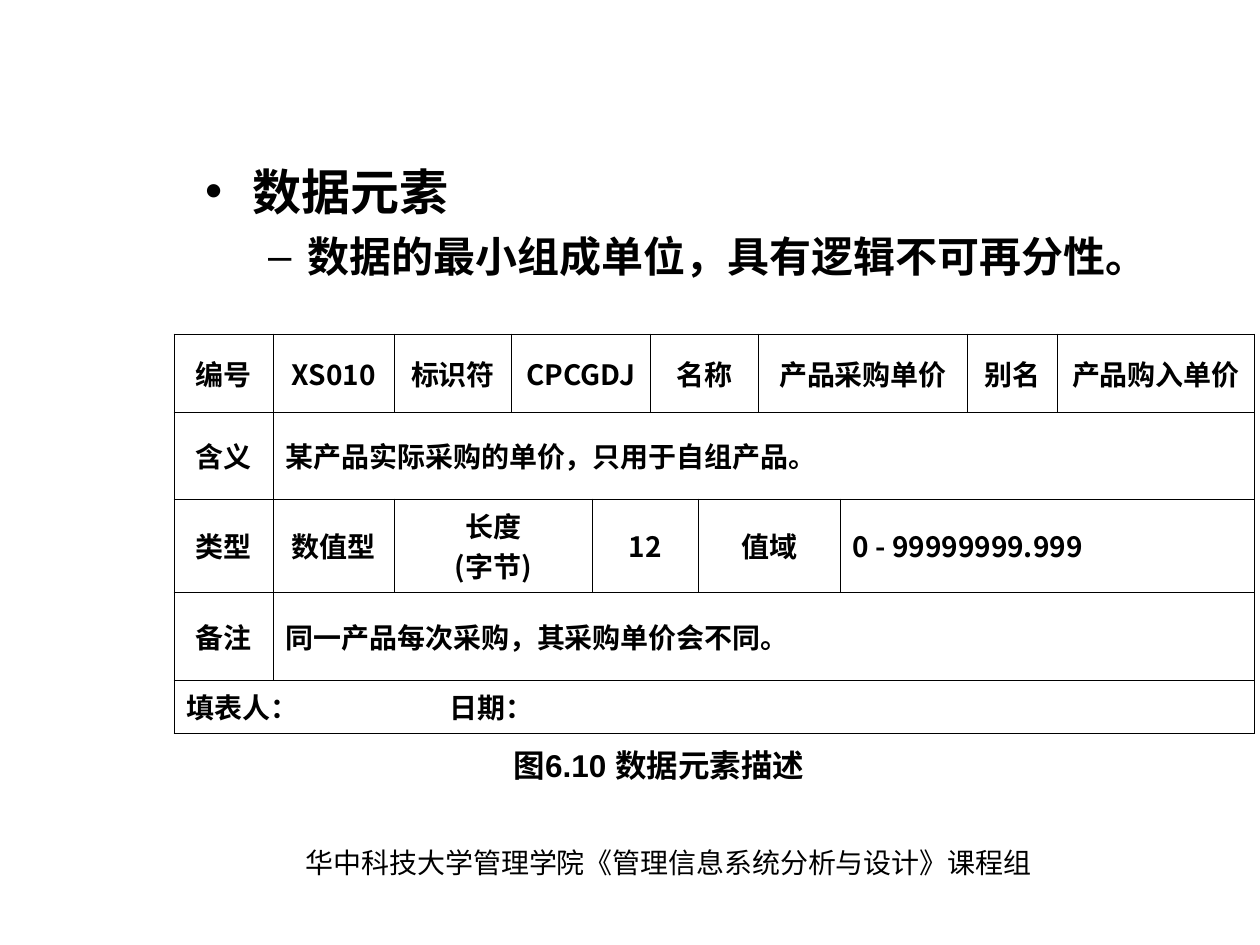
from lxml.etree import SubElement as Sub
from pptx import Presentation
from pptx.dml.color import RGBColor
from pptx.enum.text import MSO_ANCHOR as Anchor, MSO_AUTO_SIZE as Fit, PP_ALIGN as Align
from pptx.oxml.ns import qn
from pptx.util import Inches, Pt

BLACK = RGBColor(0, 0, 0)
SANS, ARIAL, TIMES = "Noto Sans CJK SC", "Arial", "Times New Roman"

POINTS = [
    ("数据元素", "•", 0.38, 0.38, 0, dict(name=SANS, size=Pt(28), bold=True)),
    ("数据的最小组成单位，具有逻辑不可再分性。", "–", 0.81, 0.31, 6,
     dict(name=ARIAL, size=Pt(24), bold=True)),
]
LABELS = [
    ("华中科技大学管理学院《管理信息系统分析与设计》课程组", (2.33, 6.66, 5.96, 0.37),
     Align.LEFT, dict(name=TIMES, size=Pt(16), bold=False)),
    ("图6.10 数据元素描述", (3.83, 5.87, 2.8, 0.4),
     Align.CENTER, dict(name=ARIAL, size=Pt(18), bold=True)),
]
COLS = [0.79, 0.96, 0.93, 0.64, 0.46, 0.38, 0.48, 0.65, 1.01, 0.71, 1.57]
ROWS = [0.62, 0.69, 0.74, 0.7, 0.42]
C, L = Align.CENTER, Align.LEFT
CELLS = [
    [("编号", 1, C), ("XS010", 1, C), ("标识符", 1, C), ("CPCGDJ", 2, C),
     ("名称", 2, C), ("产品采购单价", 2, C), ("别名", 1, C), ("产品购入单价", 1, C)],
    [("含义", 1, C), ("某产品实际采购的单价，只用于|自组|产品。", 10, L)],
    [("类型", 1, C), ("数值型", 1, C), ("长度\n(字节)", 2, C), ("12", 2, C),
     ("值域", 2, C), ("0 - 99999999.999", 3, L)],
    [("备注", 1, C), ("同一产品每次采购，其采购单价会不同。", 10, L)],
    [("填表人：\t日期：", 11, L)],
]
CELL = dict(name=SANS, size=Pt(16), bold=True)


def add_run(para, text, form):
    run = para.add_run()
    run.text = text
    for key, val in form.items():
        setattr(run.font, key, val)
    run.font.color.rgb = BLACK
    Sub(run.font._element, qn("a:ea"), typeface=SANS)


def add_box(slide, area, wrap):
    frame = slide.shapes.add_textbox(*map(Inches, area)).text_frame
    frame.word_wrap = wrap
    return frame


def add_edges(cell):
    props = cell._tc.get_or_add_tcPr()
    for spot, side in enumerate(("lnL", "lnR", "lnT", "lnB")):
        line = Sub(props, qn("a:" + side), w=str(Pt(0.45)))
        fill = Sub(line, qn("a:solidFill"))
        Sub(fill, qn("a:srgbClr"), val=str(BLACK))
        props.insert(spot, line)


def fill_cell(cell, text, align):
    cell.vertical_anchor = Anchor.MIDDLE
    frame = cell.text_frame
    for num, line in enumerate(text.split("\n")):
        para = frame.add_paragraph() if num else frame.paragraphs[0]
        para.alignment = align
        if "\t" in line:
            tabs = Sub(para._p.get_or_add_pPr(), qn("a:tabLst"))
            Sub(tabs, qn("a:tab"), pos=str(Inches(2.09)), algn="l")
        for part, piece in enumerate(line.split("|")):
            add_run(para, piece, CELL | dict(name=TIMES if part == 1 else SANS))


def add_grid(slide):
    shape = slide.shapes.add_table(len(ROWS), len(COLS), Inches(1.38), Inches(2.65),
                                   Inches(sum(COLS)), Inches(sum(ROWS)))
    table = shape.table
    table.first_row = table.horz_banding = False
    for col, width in zip(table.columns, COLS):
        col.width = Inches(width)
    for row, height in zip(table.rows, ROWS):
        row.height = Inches(height)
    for cell in table.iter_cells():
        cell.fill.background()
        add_edges(cell)
    for row, items in enumerate(CELLS):
        col = 0
        for text, span, align in items:
            cell = table.cell(row, col)
            if span > 1:
                cell.merge(table.cell(row, col + span - 1))
            fill_cell(cell, text, align)
            col += span


def add_points(slide):
    frame = add_box(slide, (1.53, 1.23, 8.47, 1.2), True)
    for num, (text, mark, left, hang, gap, form) in enumerate(POINTS):
        para = frame.add_paragraph() if num else frame.paragraphs[0]
        para.level = num
        para.space_before = Pt(gap)
        props = para._p.get_or_add_pPr()
        props.set("marL", str(Inches(left)))
        props.set("indent", str(-Inches(hang)))
        Sub(props, qn("a:buFont"), typeface=ARIAL)
        Sub(props, qn("a:buChar"), char=mark)
        add_run(para, text, form)


def main():
    deck = Presentation()
    deck.slide_width, deck.slide_height = Inches(10), Inches(7.5)
    slide = deck.slides.add_slide(deck.slide_layouts[6])
    add_points(slide)
    add_grid(slide)
    for text, area, align, form in LABELS:
        frame = add_box(slide, area, False)
        frame.auto_size = Fit.SHAPE_TO_FIT_TEXT
        para = frame.paragraphs[0]
        para.alignment = align
        add_run(para, text, form)
    deck.save("out.pptx")


if __name__ == "__main__":
    main()
